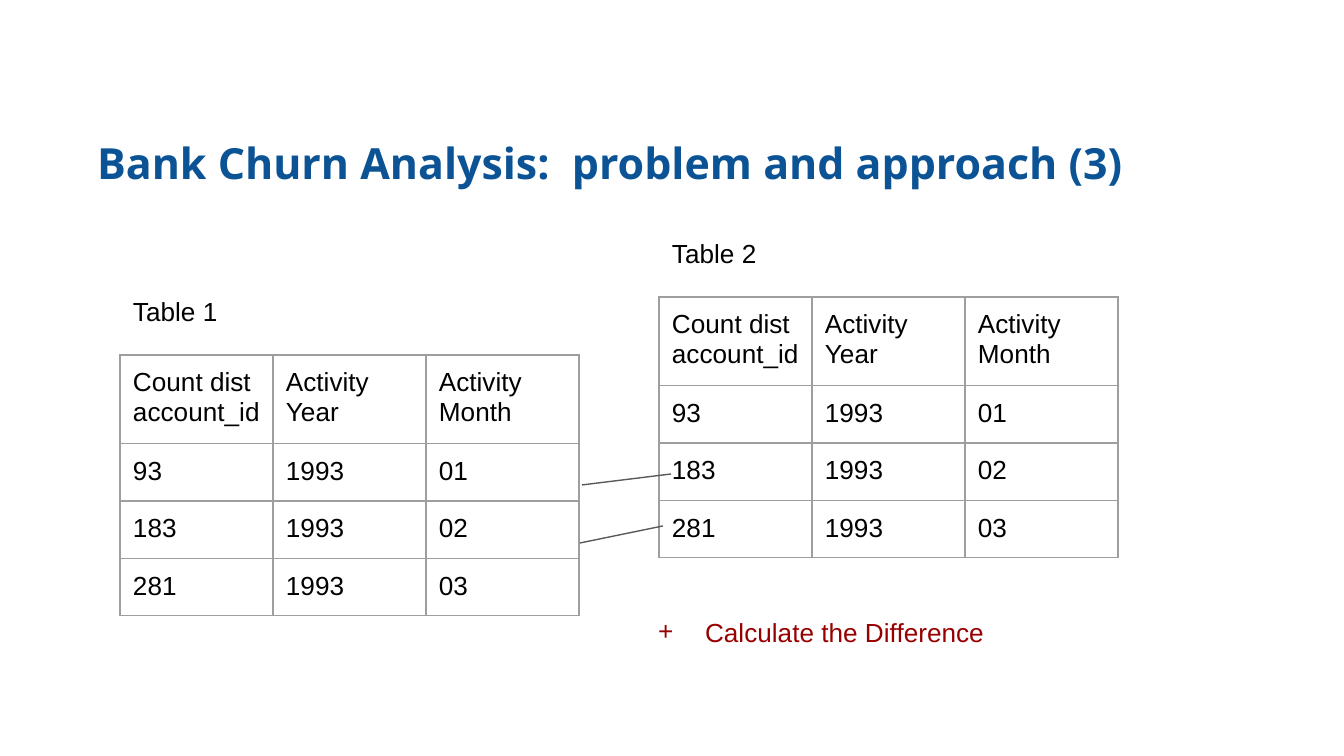
"""Builds the bank churn slide with two monthly activity tables."""
from lxml.etree import SubElement
from pptx import Presentation
from pptx.dml.color import RGBColor
from pptx.enum.shapes import MSO_CONNECTOR
from pptx.enum.text import MSO_AUTO_SIZE
from pptx.oxml import parse_xml
from pptx.oxml.ns import nsdecls, qn
from pptx.util import Pt

PX = 914400 / 134.4
COLORS = {"title": "0B5394", "text": "000000", "accent": "980000",
          "border": "9E9E9E", "link": "595959"}
INSET, COLUMN, ROW = 13, 153, 50


def emu(*lengths):
    return [round(length * PX) for length in lengths]


def write(holder, frame, text, color="text", size=14, font="Arial", bold=False):
    holder.margin_left, holder.margin_top, holder.margin_right, holder.margin_bottom = emu(*[INSET] * 4)
    paragraph = frame.paragraphs[0]
    paragraph.text = text
    paragraph.font.name = font
    paragraph.font.size = Pt(size)
    paragraph.font.bold = bold
    paragraph.font.color.rgb = RGBColor.from_string(COLORS[color])
    return paragraph


deck = Presentation()
deck.slide_width, deck.slide_height = emu(1344, 756)
slide = deck.slides.add_slide(deck.slide_layouts[6])

heading = slide.shapes.add_textbox(*emu(84, 124, 1156, 73)).text_frame
heading.word_wrap = True
write(heading, heading, "Bank Churn Analysis:  problem and approach (3)",
      "title", 23, "Noto Sans", True).space_after = Pt(16)

activity = [
    ("Count dist account_id", "Activity Year", "Activity Month"),
    ("93", "1993", "01"),
    ("183", "1993", "02"),
    ("281", "1993", "03"),
]
for left, top in [(120, 355), (659, 297)]:
    table = slide.shapes.add_table(
        len(activity), 3, *emu(left, top, 3 * COLUMN, len(activity) * ROW)).table
    table.first_row = table.horz_banding = False
    for row, values in enumerate(activity):
        for column, value in enumerate(values):
            cell = table.cell(row, column)
            write(cell, cell.text_frame, value)
            for side in ("lnL", "lnR", "lnT", "lnB"):
                cell._tc.get_or_add_tcPr().append(parse_xml(
                    f'<a:{side} {nsdecls("a")} w="9525"><a:solidFill>'
                    f'<a:srgbClr val="{COLORS["border"]}"/></a:solidFill></a:{side}>'))
            cell.fill.background()

for ends in [(582, 485, 671, 474), (580, 543, 663, 526)]:
    link = slide.shapes.add_connector(MSO_CONNECTOR.STRAIGHT, *emu(*ends))
    link.line.color.rgb = RGBColor.from_string(COLORS["link"])
    link.line.width = Pt(0.75)
    SubElement(link._element.spPr, qn("a:effectLst"))

for text, left, top, width, color in [
    ("Table 1", 120, 282, 185, "text"),
    ("Table 2", 659, 224, 185, "text"),
    ("Calculate the Difference", 625, 603, 460, "accent"),
]:
    label = slide.shapes.add_textbox(*emu(left, top, width, 59)).text_frame
    label.word_wrap = True
    label.auto_size = MSO_AUTO_SIZE.SHAPE_TO_FIT_TEXT
    if color == "accent":
        step = label.paragraphs[0]._p.get_or_add_pPr()
        margin, indent = emu(67, -47)
        step.set("marL", str(margin))
        step.set("indent", str(indent))
        SubElement(SubElement(step, qn("a:buClr")), qn("a:srgbClr"), val=COLORS[color])
        SubElement(step, qn("a:buFont"), typeface="Arial")
        SubElement(step, qn("a:buChar"), char="+")
    write(label, label, text, color)

deck.save("out.pptx")
